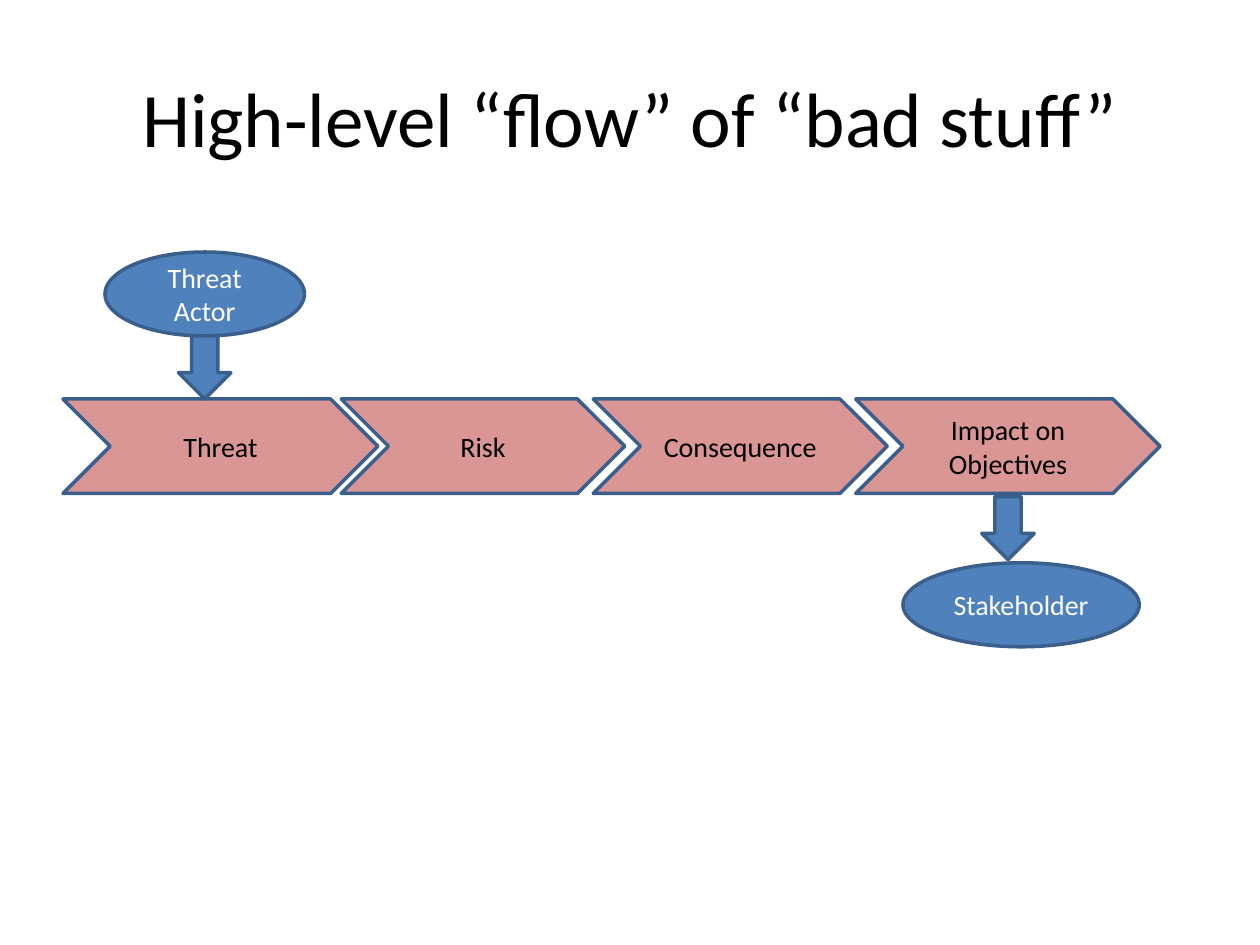
from pptx import Presentation
from pptx.dml.color import RGBColor
from pptx.enum.shapes import MSO_SHAPE as Kind
from pptx.enum.text import MSO_ANCHOR as Anchor, PP_ALIGN as Align
from pptx.util import Inches, Pt

BLACK = RGBColor(0x00, 0x00, 0x00)
WHITE = RGBColor(0xFF, 0xFF, 0xFF)
ROSE = RGBColor(0xD9, 0x96, 0x94)
BLUE = RGBColor(0x4F, 0x81, 0xBD)
NAVY = RGBColor(0x3A, 0x5F, 0x8C)

deck = Presentation()
deck.slide_width, deck.slide_height = Inches(10), Inches(7.5)
COL = deck.slide_width / 120
ROW = deck.slide_height / 90


def write(shape, text, size=16, color=BLACK):
    frame = shape.text_frame
    frame.word_wrap = True
    frame.vertical_anchor = Anchor.MIDDLE
    frame.text = text
    for line in frame.paragraphs:
        line.alignment = Align.CENTER
        line.font.name = "Calibri"
        line.font.size = Pt(size)
        line.font.color.rgb = color


def draw(kind, left, top, width, height, fill):
    shape = slide.shapes.add_shape(
        kind, round(left * COL), round(top * ROW), round(width * COL), round(height * ROW))
    shape.shadow.inherit = False
    shape.fill.solid()
    shape.fill.fore_color.rgb = fill
    shape.line.color.rgb = NAVY
    shape.line.width = Pt(2)
    return shape


slide = deck.slides.add_slide(deck.slide_layouts[5])
title = slide.shapes.title
title.left, title.top = round(6 * COL), round(3.6 * ROW)
title.width, title.height = round(108 * COL), round(15 * ROW)
write(title, "High-level “flow” of “bad stuff”", size=44)

steps = [
    ("Threat", 6, 30),
    ("Risk", 32.5, 27),
    ("Consequence", 56.5, 28),
    ("Impact on Objectives", 81.5, 29),
]
for text, left, width in steps:
    write(draw(Kind.CHEVRON, left, 38, width, 9, ROSE), text)

roles = [("Threat\nActor", 10, 24, 19), ("Stakeholder", 86, 53.6, 22.5)]
for text, left, top, width in roles:
    write(draw(Kind.OVAL, left, top, width, 8, BLUE), text, color=WHITE)

for left, top in [(17, 32), (93.5, 47.3)]:
    draw(Kind.DOWN_ARROW, left, top, 5, 6, BLUE)

deck.save("out.pptx")
